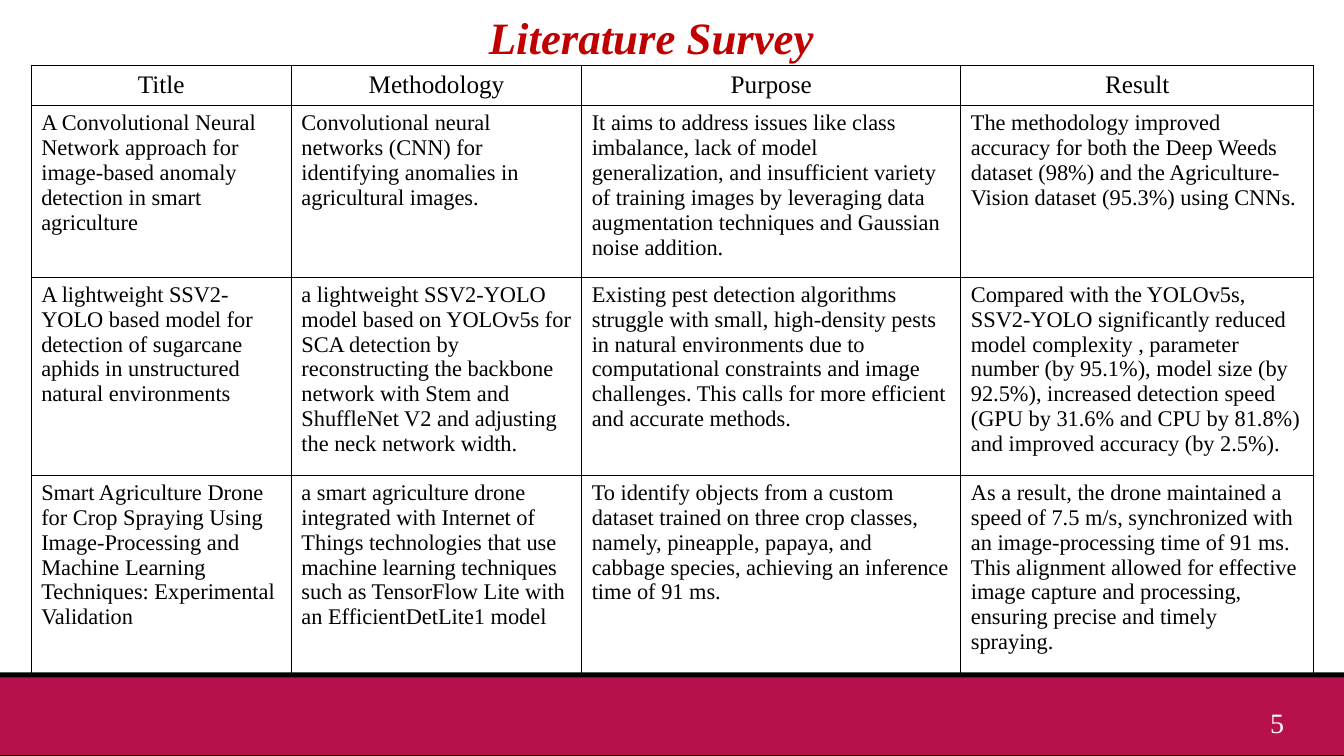
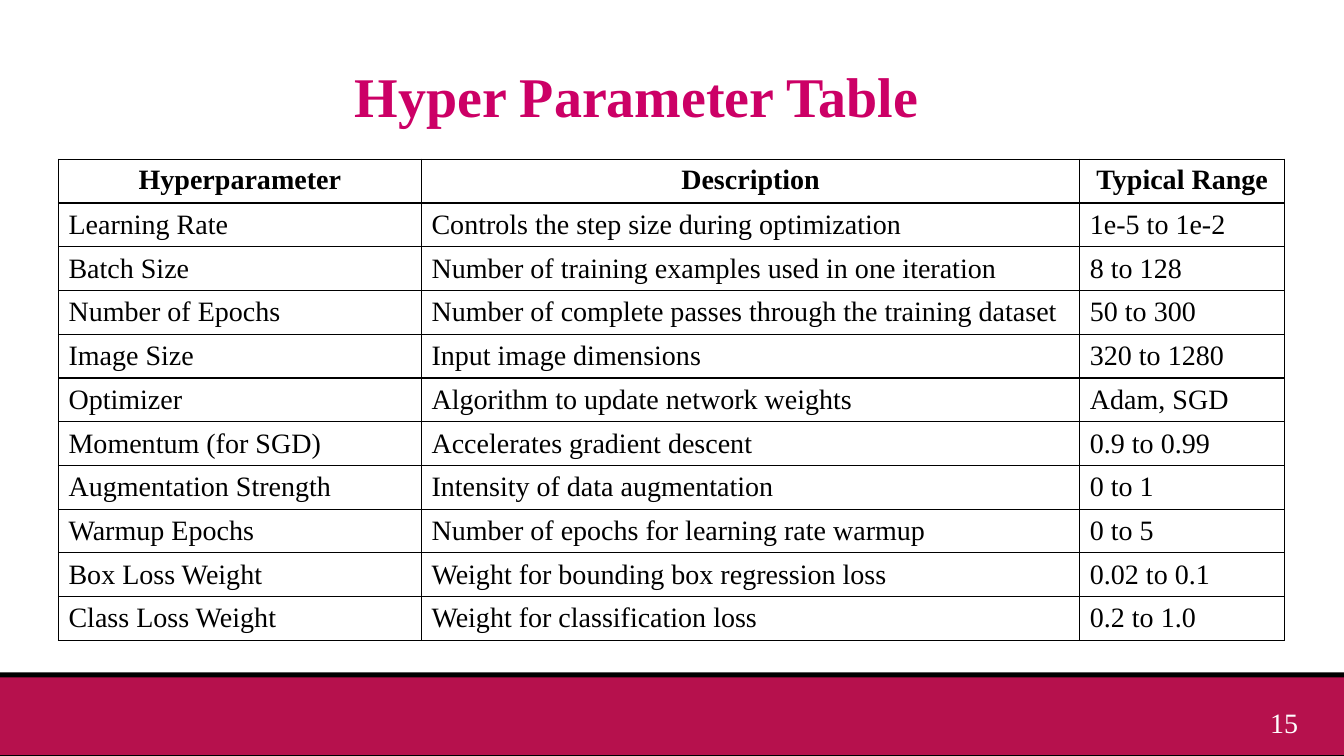
from lxml import etree
from pptx import Presentation
from pptx.dml.color import RGBColor
from pptx.enum.shapes import MSO_SHAPE
from pptx.enum.text import MSO_ANCHOR, PP_ALIGN
from pptx.oxml.ns import qn
from pptx.util import Inches, Pt

RECTANGLE = MSO_SHAPE.RECTANGLE
TOP, MIDDLE = MSO_ANCHOR.TOP, MSO_ANCHOR.MIDDLE
LEFT, CENTER = PP_ALIGN.LEFT, PP_ALIGN.CENTER

FONT = "Times New Roman"
BLACK, WHITE, CRIMSON = "000000", "FFFFFF", "B6114D"
BANDS = [(6.67, 0.84, BLACK), (6.72, 0.77, CRIMSON)]
PAGE_NUMBER_BOX = (12.5, 6.95, 0.67, 0.4)
BORDER_SIDES = ["a:lnL", "a:lnR", "a:lnT", "a:lnB"]

SLIDES = [
    {
        "title": "Literature Survey",
        "title_box": (4.75, 0.15, 3.55, 0.5),
        "title_color": "C00000",
        "title_format": {"size": Pt(32), "bold": True, "italic": True},
        "page": "5",
        "table_origin": (0.31, 0.65),
        "columns": [2.58, 2.88, 3.76, 3.5],
        "row_heights": [0.4, 1.66, 1.92, 1.92],
        "header_format": {"size": Pt(18), "bold": False},
        "body_format": {"size": Pt(16), "bold": False},
        "body_anchor": TOP,
        "rows": [
            ["Title", "Methodology", "Purpose", "Result"],
            [
                "A Convolutional Neural Network approach for image-based anomaly detection in smart agriculture",
                "Convolutional neural networks (CNN) for identifying anomalies in agricultural images.",
                "It aims to address issues like class imbalance, lack of model generalization, and insufficient "
                "variety of training images by leveraging data augmentation techniques and Gaussian noise addition.",
                "The methodology improved accuracy for both the Deep Weeds dataset (98%) and the "
                "Agriculture-Vision dataset (95.3%) using CNNs.",
            ],
            [
                "A lightweight SSV2-YOLO based model for detection of sugarcane aphids in unstructured "
                "natural environments",
                "a lightweight SSV2-YOLO model based on YOLOv5s for SCA detection by reconstructing the backbone "
                "network with Stem and ShuffleNet V2 and adjusting the neck network width.",
                "Existing pest detection algorithms struggle with small, high-density pests in natural environments "
                "due to computational constraints and image challenges. This calls for more efficient and "
                "accurate methods.",
                "Compared with the YOLOv5s, SSV2-YOLO significantly reduced model complexity , parameter number "
                "(by 95.1%), model size (by 92.5%), increased detection speed (GPU by 31.6% and CPU by 81.8%) "
                "and improved accuracy (by 2.5%).",
            ],
            [
                "Smart Agriculture Drone for Crop Spraying Using Image-Processing and Machine Learning "
                "Techniques: Experimental Validation",
                "a smart agriculture drone integrated with Internet of Things technologies that use machine "
                "learning techniques such as TensorFlow Lite with an EfficientDetLite1 model",
                "To identify objects from a custom dataset trained on three crop classes, namely, pineapple, "
                "papaya, and cabbage species, achieving an inference time of 91 ms.",
                "As a result, the drone maintained a speed of 7.5 m/s, synchronized with an image-processing time "
                "of 91 ms. This alignment allowed for effective image capture and processing, ensuring precise "
                "and timely spraying.",
            ],
        ],
    },
    {
        "title": "Hyper Parameter Table",
        "title_box": (3.42, 0.62, 6.03, 0.73),
        "title_color": "CC0066",
        "title_format": {"size": Pt(40), "bold": True},
        "page": "15",
        "table_origin": (0.58, 1.58),
        "columns": [3.6, 6.53, 2.03],
        "row_heights": [0.41] * 11,
        "header_format": {"size": Pt(20), "bold": True},
        "body_format": {"size": Pt(20), "bold": False},
        "body_anchor": MIDDLE,
        "rows": [
            ["Hyperparameter", "Description", "Typical Range"],
            ["Learning Rate", "Controls the step size during optimization", "1e-5 to 1e-2"],
            ["Batch Size", "Number of training examples used in one iteration", "8 to 128"],
            ["Number of Epochs", "Number of complete passes through the training dataset", "50 to 300"],
            ["Image Size", "Input image dimensions", "320 to 1280"],
            ["Optimizer", "Algorithm to update network weights", "Adam, SGD"],
            ["Momentum (for SGD)", "Accelerates gradient descent", "0.9 to 0.99"],
            ["Augmentation Strength", "Intensity of data augmentation", "0 to 1"],
            ["Warmup Epochs", "Number of epochs for learning rate warmup", "0 to 5"],
            ["Box Loss Weight", "Weight for bounding box regression loss", "0.02 to 0.1"],
            ["Class Loss Weight", "Weight for classification loss", "0.2 to 1.0"],
        ],
    },
]


def set_color(color_format, color):
    color_format.rgb = RGBColor.from_string(color)


def write_text(text_frame, text, color, font_format, alignment=LEFT):
    text_frame.word_wrap = True
    paragraph = text_frame.paragraphs[0]
    paragraph.alignment = alignment
    run = paragraph.add_run()
    run.text = text
    for name, value in {"name": FONT, **font_format}.items():
        setattr(run.font, name, value)
    set_color(run.font.color, color)
    return paragraph


presentation = Presentation()
presentation.slide_width = Inches(13.33)
presentation.slide_height = Inches(7.5)
blank_layout = presentation.slide_layouts[6]

for content in SLIDES:
    slide = presentation.slides.add_slide(blank_layout)

    for top, height, color in BANDS:
        band = slide.shapes.add_shape(RECTANGLE, 0, Inches(top), presentation.slide_width, Inches(height))
        band.shadow.inherit = False
        band.fill.solid()
        set_color(band.fill.fore_color, color)
        band.line.fill.background()

    page_number = slide.shapes.add_textbox(*map(Inches, PAGE_NUMBER_BOX))
    write_text(page_number.text_frame, content["page"], WHITE, {"size": Pt(20)})

    title = slide.shapes.add_textbox(*map(Inches, content["title_box"]))
    title.text_frame.vertical_anchor = MIDDLE
    paragraph = write_text(title.text_frame, content["title"], content["title_color"], content["title_format"])
    paragraph.line_spacing = 0.9

    rows, columns, row_heights = content["rows"], content["columns"], content["row_heights"]
    left, top = content["table_origin"]
    table = slide.shapes.add_table(
        len(rows), len(columns), Inches(left), Inches(top), Inches(sum(columns)), Inches(sum(row_heights))
    ).table
    table.first_row = False
    table.horz_banding = False
    for column, width in zip(table.columns, columns):
        column.width = Inches(width)

    for row_index, (row, height, texts) in enumerate(zip(table.rows, row_heights, rows)):
        row.height = Inches(height)
        is_header = row_index == 0
        font_format = content["header_format" if is_header else "body_format"]
        for cell, text in zip(row.cells, texts):
            write_text(cell.text_frame, text, BLACK, font_format, CENTER if is_header else LEFT)
            cell.vertical_anchor = TOP if is_header else content["body_anchor"]
            properties = cell._tc.get_or_add_tcPr()
            for side in BORDER_SIDES:
                border = etree.SubElement(properties, qn(side), w=str(Pt(1)))
                border_fill = etree.SubElement(border, qn("a:solidFill"))
                etree.SubElement(border_fill, qn("a:srgbClr"), val=BLACK)
            cell.fill.background()

presentation.save("out.pptx")
